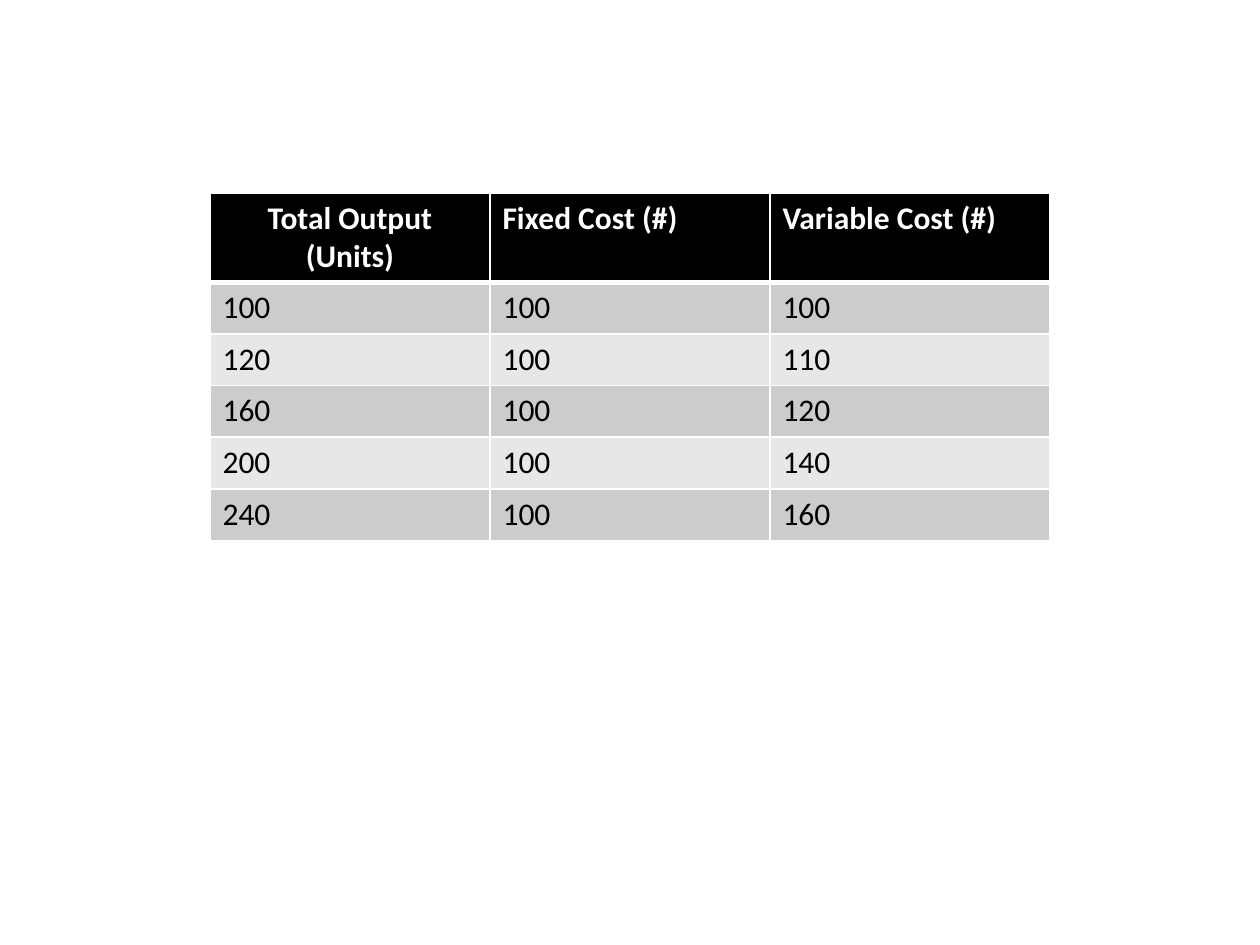
from lxml import etree
from pptx import Presentation
from pptx.dml.color import RGBColor
from pptx.enum.text import PP_ALIGN
from pptx.oxml.ns import qn
from pptx.util import Inches, Pt

LEFT, CENTER = PP_ALIGN.LEFT, PP_ALIGN.CENTER
COLORS = {"header": "000000", "odd": "CCCCCC", "even": "E7E7E7",
          "light": "FFFFFF", "dark": "000000"}
COST_ROWS = [
    ("Total Output (Units)", "Fixed Cost (#)", "Variable Cost (#)"),
    (100, 100, 100),
    (120, 100, 110),
    (160, 100, 120),
    (200, 100, 140),
    (240, 100, 160),
]


def write_text(text_frame, text, *, color, size=18, font="Calibri", bold=False, align=LEFT):
    paragraph = text_frame.paragraphs[0]
    paragraph.alignment = align
    run = paragraph.add_run()
    run.text = str(text)
    run.font.name = font
    run.font.size = Pt(size)
    run.font.bold = bold
    run.font.color.rgb = RGBColor.from_string(COLORS[color])


def set_borders(cell, color, **widths):
    """Draw cell borders; widths in points are keyed L, R, T and B, in that order."""
    properties = cell._tc.get_or_add_tcPr()
    for side, width in widths.items():
        line = etree.SubElement(properties, qn(f"a:ln{side}"), w=str(Pt(width)))
        fill = etree.SubElement(line, qn("a:solidFill"))
        etree.SubElement(fill, qn("a:srgbClr"), val=COLORS[color])


class SlideBuilder:
    def __init__(self, presentation):
        self.width = presentation.slide_width
        self.height = presentation.slide_height
        self.slide = presentation.slides.add_slide(presentation.slide_layouts[6])

    def add_table(self, rows, left, top, width, header_height, row_height):
        """Add a banded table; lengths are shares of the slide's size."""
        heights = [header_height] + [row_height] * (len(rows) - 1)
        table = self.slide.shapes.add_table(
            len(rows), len(rows[0]),
            round(left * self.width), round(top * self.height),
            round(width * self.width), round(sum(heights) * self.height)).table
        for row_index, (values, height) in enumerate(zip(rows, heights)):
            table.rows[row_index].height = round(height * self.height)
            for column_index, value in enumerate(values):
                self.fill_cell(table.cell(row_index, column_index), value,
                               row_index, column_index)

    def fill_cell(self, cell, value, row_index, column_index):
        is_header = row_index == 0
        set_borders(cell, "light", L=1, R=1,
                    T=3 if row_index == 1 else 1, B=3 if is_header else 1)
        band = "header" if is_header else ("even", "odd")[row_index % 2]
        cell.fill.solid()
        cell.fill.fore_color.rgb = RGBColor.from_string(COLORS[band])
        write_text(cell.text_frame, value, bold=is_header,
                   color="light" if is_header else "dark",
                   align=CENTER if is_header and column_index == 0 else LEFT)


def main():
    presentation = Presentation()
    presentation.slide_width = Inches(10)
    presentation.slide_height = Inches(7.5)
    builder = SlideBuilder(presentation)
    builder.add_table(COST_ROWS, left=1 / 6, top=1.53 / 7.5, width=2 / 3,
                      header_height=0.7 / 7.5, row_height=0.41 / 7.5)
    presentation.save("out.pptx")


if __name__ == "__main__":
    main()
